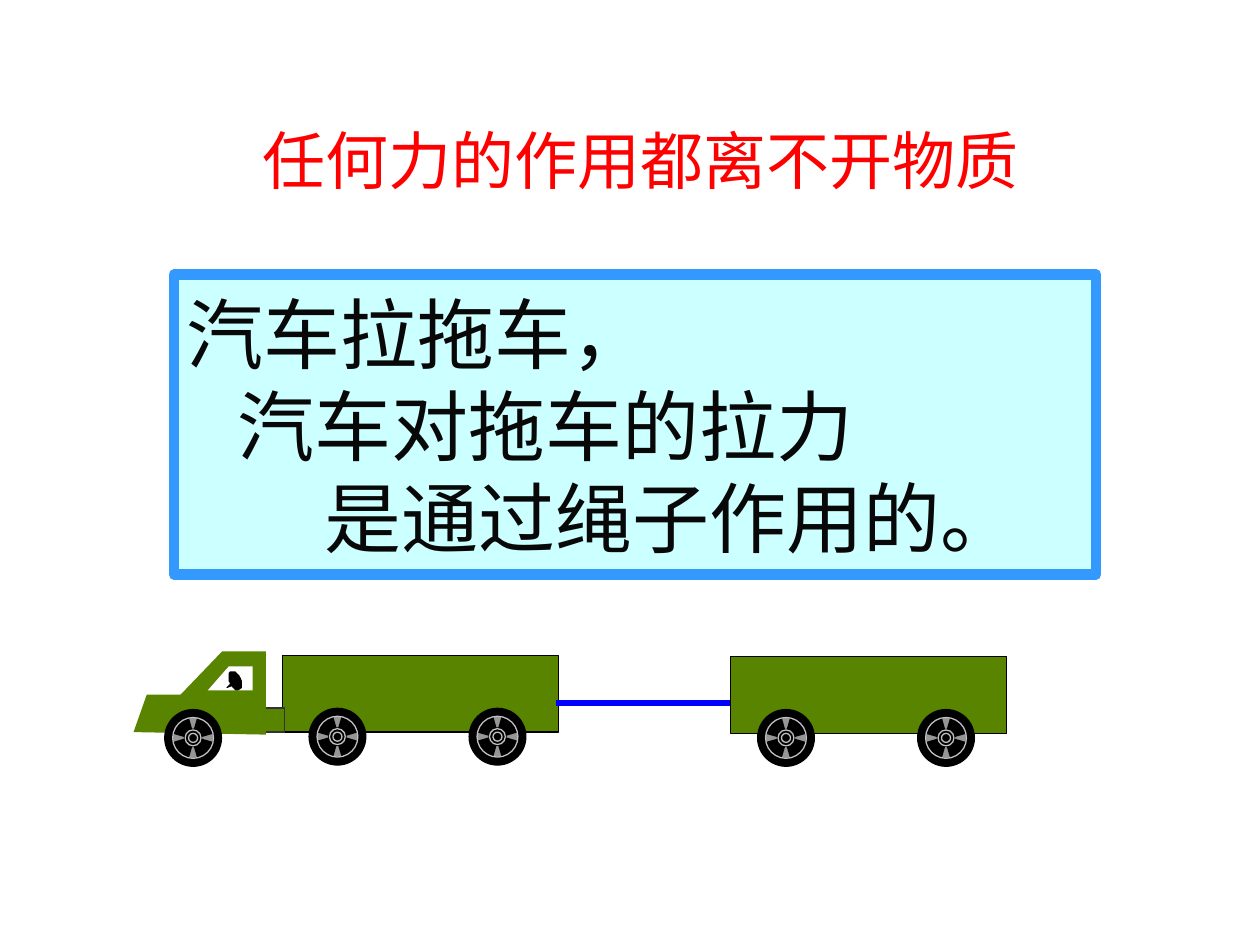
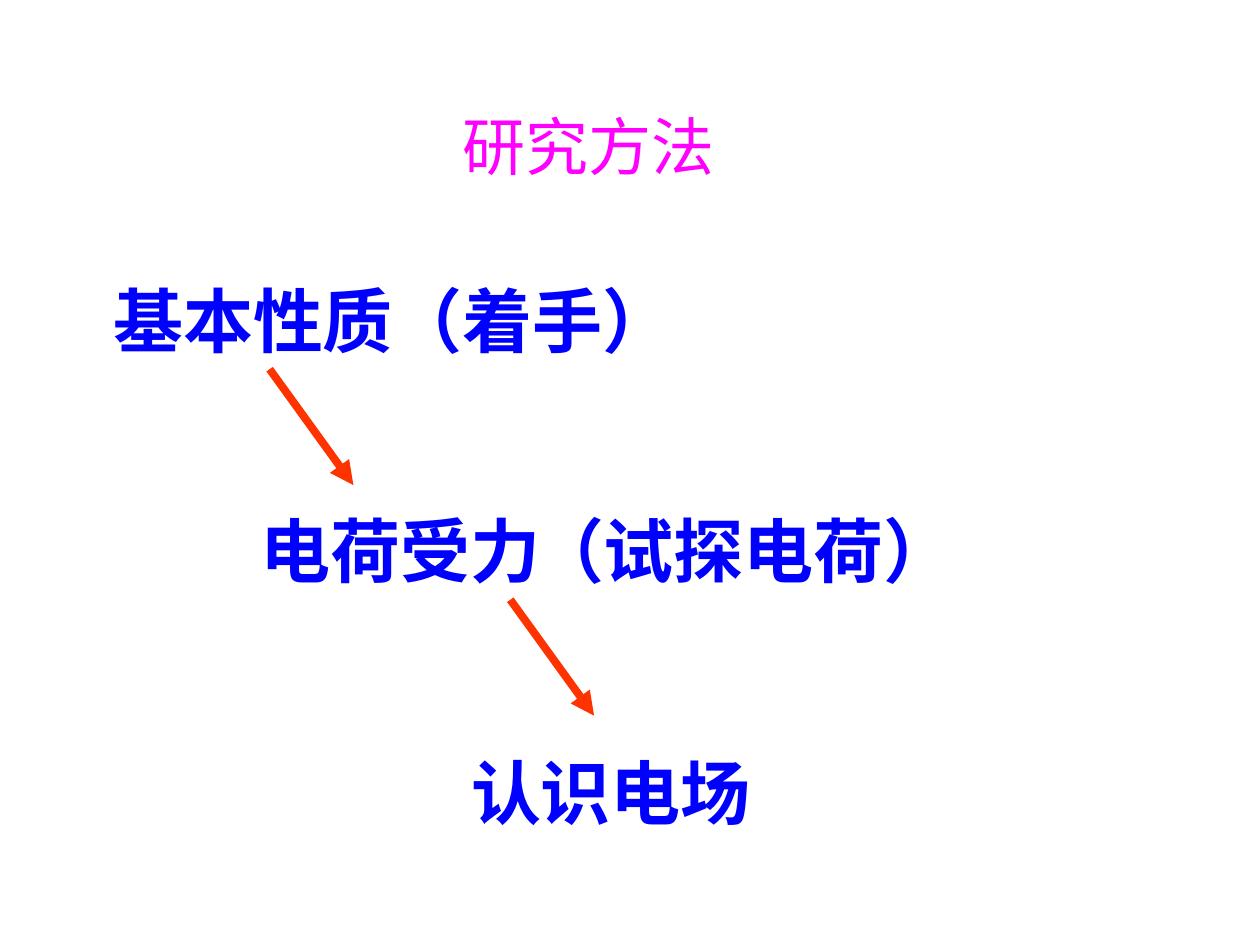
from lxml import etree
from pptx import Presentation
from pptx.dml.color import RGBColor
from pptx.enum.shapes import MSO_CONNECTOR, MSO_SHAPE
from pptx.enum.text import MSO_ANCHOR, MSO_AUTO_SIZE, PP_ALIGN
from pptx.oxml.ns import qn
from pptx.util import Inches, Pt

RECTANGLE, OVAL = MSO_SHAPE.RECTANGLE, MSO_SHAPE.OVAL
STRAIGHT = MSO_CONNECTOR.STRAIGHT
LEFT, CENTER = PP_ALIGN.LEFT, PP_ALIGN.CENTER
TOP, MIDDLE = MSO_ANCHOR.TOP, MSO_ANCHOR.MIDDLE
FIXED_SIZE = MSO_AUTO_SIZE.NONE

BLACK = RGBColor(0x00, 0x00, 0x00)
WHITE = RGBColor(0xFF, 0xFF, 0xFF)
RED = RGBColor(0xFF, 0x00, 0x00)
MAGENTA = RGBColor(0xFF, 0x00, 0xFF)
BLUE = RGBColor(0x00, 0x00, 0xFF)
INK = RGBColor(0x08, 0x08, 0x08)
PANEL_FILL = RGBColor(0xCC, 0xFF, 0xFF)
PANEL_LINE = RGBColor(0x33, 0x99, 0xFF)
TRUCK_GREEN = RGBColor(0x58, 0x84, 0x00)
HITCH_LINE = RGBColor(0x33, 0x33, 0x33)
SPOKE_GRAY = RGBColor(0x96, 0x96, 0x96)
RIM_SILVER = RGBColor(0xC0, 0xC0, 0xC0)
ARROW_ORANGE = RGBColor(0xFF, 0x33, 0x00)

LATIN_FONT = "Arial"
TEXT_FONT = "Noto Sans CJK SC"
TITLE_FONT = "Noto Sans CJK JP"

# The slide is a grid of 40 columns by 30 rows
COLUMNS, ROWS = 40, 30
CELL = Inches(10 / COLUMNS)
TITLE_ONLY = 5
THIN = 0.75

# Outlines as shares of the cab's box
CAB_ROOF = [(0.67, 0), (1, 0), (1, 0.53), (0.35, 0.53)]
CAB_HOOD = [(0.1, 0.52), (1, 0.52), (1, 1), (0, 0.97)]
CAB_WINDOW = [(0.72, 0.18), (0.9, 0.18), (0.9, 0.47), (0.56, 0.47)]
STEERING_WHEEL = [
    (0.73, 0.39), (0.72, 0.36), (0.72, 0.26), (0.73, 0.24), (0.77, 0.24),
    (0.78, 0.26), (0.8, 0.29), (0.81, 0.32), (0.82, 0.36), (0.82, 0.44),
    (0.81, 0.45), (0.79, 0.47), (0.77, 0.47), (0.76, 0.45), (0.74, 0.42),
    (0.71, 0.44), (0.7, 0.44)]

# Wheel parts as shares of the wheel's radius
WHEEL_RADIUS = 0.9
SPOKE = [(-0.17, -0.71), (-0.05, -0.3), (0.05, -0.3), (0.17, -0.71), (0, -0.73)]
RIM, HUB, AXLE = 0.72, 0.28, 0.16


def grid(*cells):
    """Turn counts of grid cells into slide lengths."""
    return [round(cell * CELL) for cell in cells]


def paint(shape, fill=None, line=None, line_width=THIN):
    shape.shadow.inherit = False
    if fill is None:
        shape.fill.background()
    else:
        shape.fill.solid()
        shape.fill.fore_color.rgb = fill
    if line is None:
        shape.line.fill.background()
    else:
        shape.line.color.rgb = line
        shape.line.width = Pt(line_width)
    return shape


def add_preset(shapes, preset, box, **colors):
    return paint(shapes.add_shape(preset, *grid(*box)), **colors)


def add_outline(shapes, points, **colors):
    corners = [tuple(grid(*point)) for point in points]
    builder = shapes.build_freeform(*corners[0])
    builder.add_line_segments(corners[1:], close=True)
    return paint(builder.convert_to_shape(), **colors)


def add_line(shapes, start, end, color, width, arrow=False):
    connector = shapes.add_connector(STRAIGHT, *grid(*start, *end))
    connector.line.color.rgb = color
    connector.line.width = Pt(width)
    if arrow:
        etree.SubElement(connector.line._get_or_add_ln(), qn("a:tailEnd"), type="triangle")
    etree.SubElement(connector._element.spPr, qn("a:effectLst"))


def format_runs(paragraph, size, color, latin, east_asian, bold=False):
    for run in paragraph.runs:
        run.font.size = Pt(size)
        run.font.bold = bold
        run.font.color.rgb = color
        run.font.name = latin
        etree.SubElement(run.font._element, qn("a:ea"), typeface=east_asian)


def write_lines(shape, lines, size, line_height, color, bold=False, indents=(0,)):
    """Fill a shape with left-aligned lines, each with its own indent in cells."""
    frame = shape.text_frame
    frame.word_wrap = True
    frame.auto_size = FIXED_SIZE
    frame.vertical_anchor = TOP
    frame.margin_top = Inches(0.1)
    frame.text = "\n".join(lines)
    for paragraph, indent in zip(frame.paragraphs, indents):
        paragraph.alignment = LEFT
        paragraph.line_spacing = Pt(line_height)
        paragraph._p.get_or_add_pPr().set("marL", str(grid(indent)[0]))
        format_runs(paragraph, size, color, LATIN_FONT, TEXT_FONT, bold)


def add_titled_slide(presentation, text, box, color):
    slide = presentation.slides.add_slide(presentation.slide_layouts[TITLE_ONLY])
    title = slide.shapes.title
    title.left, title.top, title.width, title.height = grid(*box)
    frame = title.text_frame
    frame.text = text
    frame.auto_size = FIXED_SIZE
    frame.vertical_anchor = MIDDLE
    paragraph = frame.paragraphs[0]
    paragraph.alignment = CENTER
    format_runs(paragraph, 36, color, TITLE_FONT, TITLE_FONT)
    return slide


def add_wheel(shapes, center_x, center_y):
    def add_disc(share, **colors):
        radius = WHEEL_RADIUS * share
        box = (center_x - radius, center_y - radius, 2 * radius, 2 * radius)
        add_preset(shapes, OVAL, box, **colors)

    add_disc(1, fill=BLACK, line=BLACK)
    spoke = SPOKE
    for _ in range(4):
        points = [(center_x + WHEEL_RADIUS * x, center_y + WHEEL_RADIUS * y)
                  for x, y in spoke]
        add_outline(shapes, points, fill=SPOKE_GRAY, line=BLACK)
        spoke = [(-y, x) for x, y in spoke]  # quarter turn
    add_disc(RIM, line=RIM_SILVER)
    for share in (HUB, AXLE):
        add_disc(share, fill=BLACK, line=RIM_SILVER)


def add_wagon(shapes, left, top, width, height):
    add_preset(shapes, RECTANGLE, (left, top, width, height), fill=TRUCK_GREEN, line=BLACK)
    for share in (0.2, 0.78):
        add_wheel(shapes, left + share * width, top + 1.06 * height)


def add_cab(shapes, left, top, width, height):
    parts = ((CAB_ROOF, TRUCK_GREEN), (CAB_HOOD, TRUCK_GREEN),
             (CAB_WINDOW, WHITE), (STEERING_WHEEL, BLACK))
    for outline, color in parts:
        points = [(left + x * width, top + y * height) for x, y in outline]
        add_outline(shapes, points, fill=color)
    add_wheel(shapes, left + 0.45 * width, top + 1.04 * height)


def add_truck_and_trailer(slide, left, top):
    """Draw the truck, the rope and the trailer from the cab's upper left corner."""
    shapes = slide.shapes.add_group_shape().shapes
    wagon_size = (8.76, 2.44)
    add_wagon(shapes, left + 18.96, top + 0.16, *wagon_size)  # trailer
    add_wagon(shapes, left + 4.72, top + 0.12, *wagon_size)  # truck bed
    hitch = (left + 4.2, top + 1.8, 0.6, 0.76)
    add_preset(shapes, RECTANGLE, hitch, fill=TRUCK_GREEN, line=HITCH_LINE)
    add_cab(shapes, left, top, 4.2, 2.64)
    rope_y = top + 1.64
    add_line(shapes, (left + 13.4, rope_y), (left + 18.92, rope_y), BLUE, 3)


def build_force_slide(presentation):
    slide = add_titled_slide(presentation, "任何力的作用都离不开物质",
                             (2.36, 3.64, 35.92, 2.84), RED)
    panel = add_preset(slide.shapes, RECTANGLE, (5.52, 8.72, 29.28, 9.52),
                       fill=PANEL_FILL, line=PANEL_LINE, line_width=6)
    lines = ["汽车拉拖车，", "汽车对拖车的拉力", "是通过绳子作用的。"]
    write_lines(panel, lines, 44, 52.5, INK, indents=(0, 1.64, 4.4))
    add_truck_and_trailer(slide, 4.24, 20.68)


def build_method_slide(presentation):
    slide = add_titled_slide(presentation, "研究方法", (9.08, 2.88, 19.2, 3.48), MAGENTA)
    # Steps of the method: text, left, top, width
    steps = (("基本性质（着手）", 3.2, 8.4, 25.12),
             ("电荷受力", 7.88, 15.72, 9.68),
             ("（试探电荷）", 16.56, 15.72, 14.12),
             ("认识电场", 14.56, 23.4, 11.68))
    for text, left, top, width in steps:
        box = slide.shapes.add_textbox(*grid(left, top, width, 3.08))
        write_lines(box, [text], 40, 48, BLUE, bold=True)
    # Arrows from step to step
    for x, y in ((8.56, 11.72), (16.2, 19.04)):
        add_line(slide.shapes, (x, y), (x + 2.66, y + 3.68), ARROW_ORANGE, 4.5, arrow=True)


def main():
    presentation = Presentation()
    presentation.slide_width, presentation.slide_height = grid(COLUMNS, ROWS)
    build_force_slide(presentation)
    build_method_slide(presentation)
    presentation.save("out.pptx")


if __name__ == "__main__":
    main()
